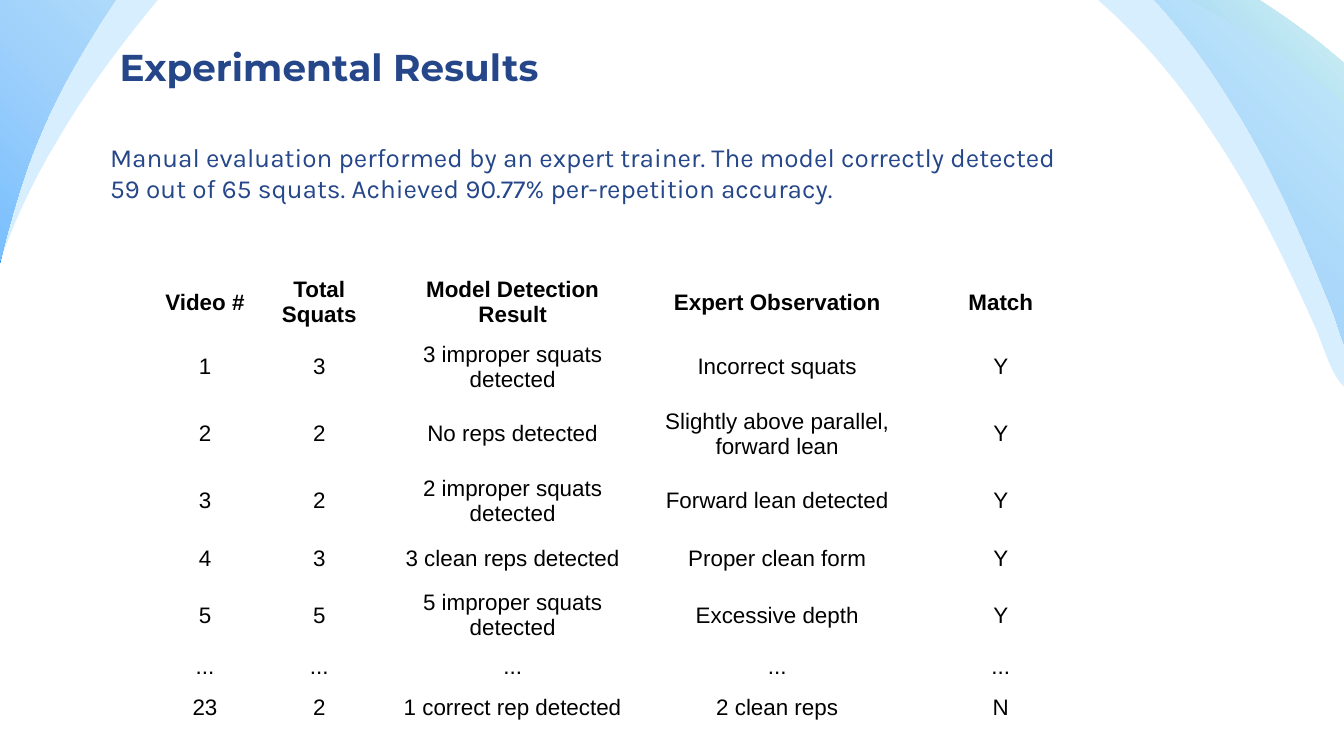
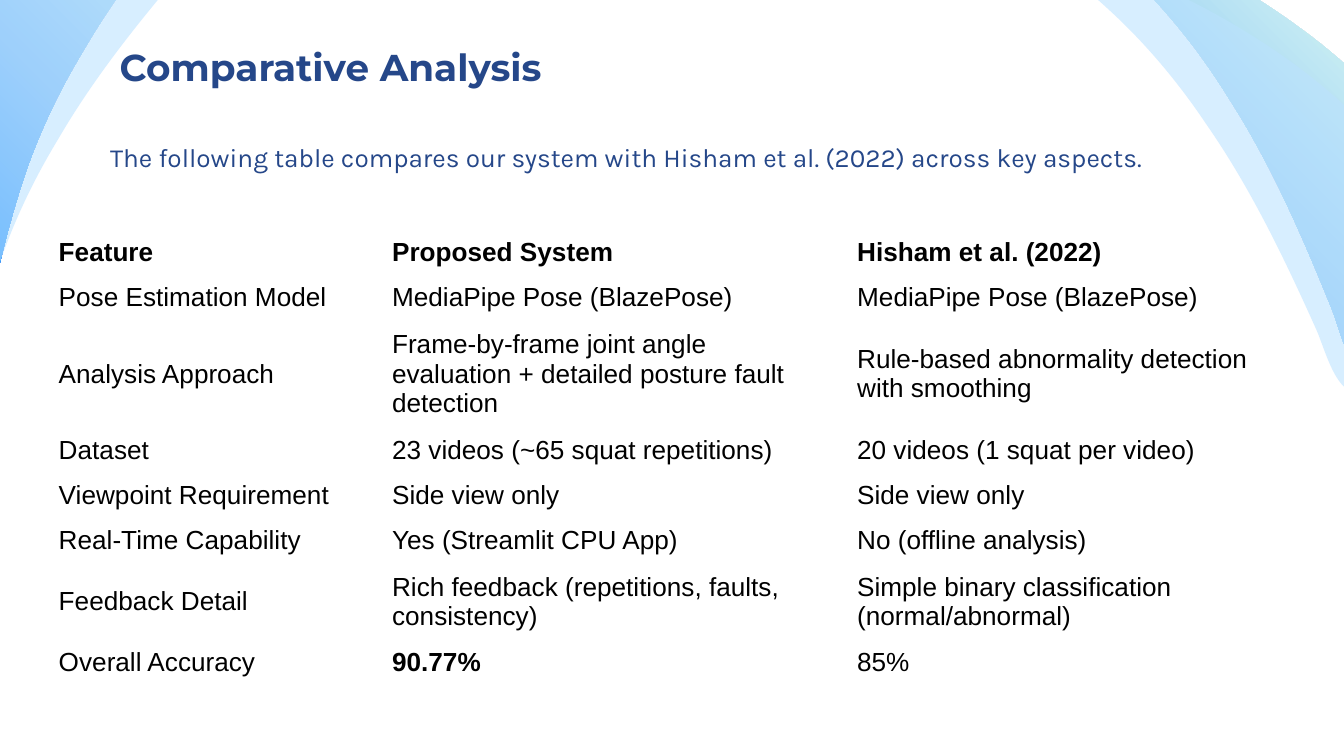
from lxml import etree
from pptx import Presentation
from pptx.dml.color import RGBColor
from pptx.enum.text import MSO_ANCHOR as Anchor, PP_ALIGN as Align
from pptx.oxml import parse_xml
from pptx.oxml.ns import qn
from pptx.util import Cm, Pt

NAVY, BLACK, PALE_BLUE = "254789", "000000", "BBE2FF"
PETAL_STOPS = [(0, "E5ECEF"), (28, "CBEFF2"), (66, "77B8F7"), (100, "0885FF")]
PLAIN_TABLE = "{2D5ABB26-0587-4C30-8999-92F81FD0307C}"
DRAWING_NS = "http://schemas.openxmlformats.org/drawingml/2006/main"

# Petal outline in hundredths of an inch: a start, then three points per curve
PETAL_UNIT = Cm(0.0254)
PETAL_START = (161, 0)
PETAL_CURVES = [
    (149, 0), (137, 2), (126, 5),
    (94, 16), (67, 41), (49, 70),
    (31, 99), (21, 133), (14, 167),
    (0, 239), (0, 314), (15, 387),
    (22, 356), (30, 325), (40, 296),
    (51, 265), (65, 236), (82, 208),
    (111, 158), (148, 113), (186, 69),
    (199, 54), (235, 27), (206, 11),
    (193, 3), (177, 0), (161, 0),
]
# Left, top, rotation and whether the petal carries the gradient
PETALS = [
    (-0.51, -4.32, 0, True),
    (-0.99, -2.64, 0, False),
    (20.17, -2.06, 117.2, True),
    (19.76, -1.6, 115, False),
]


def rgb(color):
    return RGBColor.from_string(color)


class Deck:
    def __init__(self):
        self.prs = Presentation()
        self.prs.slide_width, self.prs.slide_height = Cm(25.4), Cm(14.29)
        self.slide = None

    def new_slide(self, title):
        self.slide = self.prs.slides.add_slide(self.prs.slide_layouts[6])
        for petal in PETALS:
            self.petal(*petal)
        self.text(title, (2.01, 0.46, 21.41, 1.6), "Montserrat", 20,
                  bold=True, anchor=Anchor.MIDDLE)

    def petal(self, left, top, rotation, gradient):
        builder = self.slide.shapes.build_freeform(*PETAL_START, scale=PETAL_UNIT)
        builder.add_line_segments(PETAL_CURVES, close=True)
        petal = builder.convert_to_shape(Cm(left), Cm(top))
        petal.rotation = rotation
        petal.shadow.inherit = False
        petal.line.fill.background()
        petal.fill.solid()
        petal.fill.fore_color.rgb = rgb(PALE_BLUE)

        # Turn every three line points into one Bézier curve
        outline = petal.element.find(".//" + qn("a:path"))
        lines = outline.findall(qn("a:lnTo"))
        for i in range(0, len(lines), 3):
            curve = etree.Element(qn("a:cubicBezTo"))
            lines[i].addprevious(curve)
            for line in lines[i:i + 3]:
                curve.append(line[0])
                outline.remove(line)

        solid = petal.element.spPr.find(qn("a:solidFill"))
        if gradient:
            stops = "".join(
                f'<a:gs pos="{at * 1000}"><a:srgbClr val="{color}"/></a:gs>'
                for at, color in PETAL_STOPS)
            solid.getparent().replace(solid, parse_xml(
                f'<a:gradFill xmlns:a="{DRAWING_NS}" rotWithShape="0">'
                f'<a:gsLst>{stops}</a:gsLst>'
                f'<a:lin ang="{135 * 60000}" scaled="0"/></a:gradFill>'))
        else:
            etree.SubElement(solid[0], qn("a:alpha"), val="58000")

    def style(self, paragraph, font, size, color, bold=False):
        paragraph.font.name = font
        paragraph.font.size = Pt(size)
        paragraph.font.bold = bold
        paragraph.font.color.rgb = rgb(color)

    def text(self, words, box, font, size, bold=False, anchor=Anchor.TOP):
        frame = self.slide.shapes.add_textbox(*map(Cm, box)).text_frame
        frame.word_wrap = True
        frame.vertical_anchor = anchor
        frame.text = words
        self.style(frame.paragraphs[0], font, size, NAVY, bold)

    def summary(self, words, width, height):
        self.text(words, (1.83, 2.54, width, height), "Karla", 14)

    def table(self, rows, left, top, widths, heights, size,
              align=Align.LEFT, margins=(0.25, 0.13), highlights=()):
        table = self.slide.shapes.add_table(
            len(rows), len(widths), Cm(left), Cm(top),
            Cm(sum(widths)), Cm(sum(heights))).table
        table.first_row = table.horz_banding = False
        table._tbl.tblPr.find(qn("a:tableStyleId")).text = PLAIN_TABLE
        for column, width in zip(table.columns, widths):
            column.width = Cm(width)
        for r, (row, height) in enumerate(zip(rows, heights)):
            table.rows[r].height = Cm(height)
            for c, words in enumerate(row):
                cell = table.cell(r, c)
                cell.text = words
                cell.fill.background()
                cell.vertical_anchor = Anchor.MIDDLE
                cell.margin_left = cell.margin_right = Cm(margins[0])
                cell.margin_top = cell.margin_bottom = Cm(margins[1])
                paragraph = cell.text_frame.paragraphs[0]
                paragraph.alignment = align
                self.style(paragraph, "Arial", size, BLACK,
                           bold=r == 0 or words in highlights)


def main():
    deck = Deck()

    # Results per video
    deck.new_slide("Experimental Results")
    deck.summary("Manual evaluation performed by an expert trainer. The model "
                 "correctly detected 59 out of 65 squats. Achieved 90.77% "
                 "per-repetition accuracy.", 19, 2.06)
    results = [
        ("Video #", "Total Squats", "Model Detection Result",
         "Expert Observation", "Match"),
        ("1", "3", "3 improper squats detected", "Incorrect squats", "Y"),
        ("2", "2", "No reps detected",
         "Slightly above parallel, forward lean", "Y"),
        ("3", "2", "2 improper squats detected", "Forward lean detected", "Y"),
        ("4", "3", "3 clean reps detected", "Proper clean form", "Y"),
        ("5", "5", "5 improper squats detected", "Excessive depth", "Y"),
        ("...",) * 5,
        ("23", "2", "1 correct rep detected", "2 clean reps", "N"),
    ]
    deck.table(results, 2.87, 5.11, [2.01, 2.31, 5, 5, 3.45],
               [1.19, 1.17, 1.32, 1.17, 0.94, 1.17, 0.69, 0.84], 12,
               align=Align.CENTER, margins=(0.2, 0.1))

    # Comparison with earlier work
    deck.new_slide("Comparative Analysis")
    deck.summary("The following table compares our system with Hisham et al. "
                 "(2022) across key aspects.", 20.29, 0.86)
    comparison = [
        ("Feature", "Proposed System", "Hisham et al. (2022)"),
        ("Pose Estimation Model", "MediaPipe Pose (BlazePose)",
         "MediaPipe Pose (BlazePose)"),
        ("Analysis Approach",
         "Frame-by-frame joint angle evaluation + detailed posture fault detection",
         "Rule-based abnormality detection with smoothing"),
        ("Dataset", "23 videos (~65 squat repetitions)",
         "20 videos (1 squat per video)"),
        ("Viewpoint Requirement", "Side view only", "Side view only"),
        ("Real-Time Capability", "Yes (Streamlit CPU App)",
         "No (offline analysis)"),
        ("Feedback Detail", "Rich feedback (repetitions, faults, consistency)",
         "Simple binary classification (normal/abnormal)"),
        ("Overall Accuracy", "90.77%", "85%"),
    ]
    deck.table(comparison, 0.86, 4.34, [6.3, 8.79, 7.9],
               [0.84, 0.84, 2.03, 0.84, 0.84, 0.84, 1.45, 0.84], 14,
               highlights=("90.77%",))

    deck.prs.save("out.pptx")


if __name__ == "__main__":
    main()
